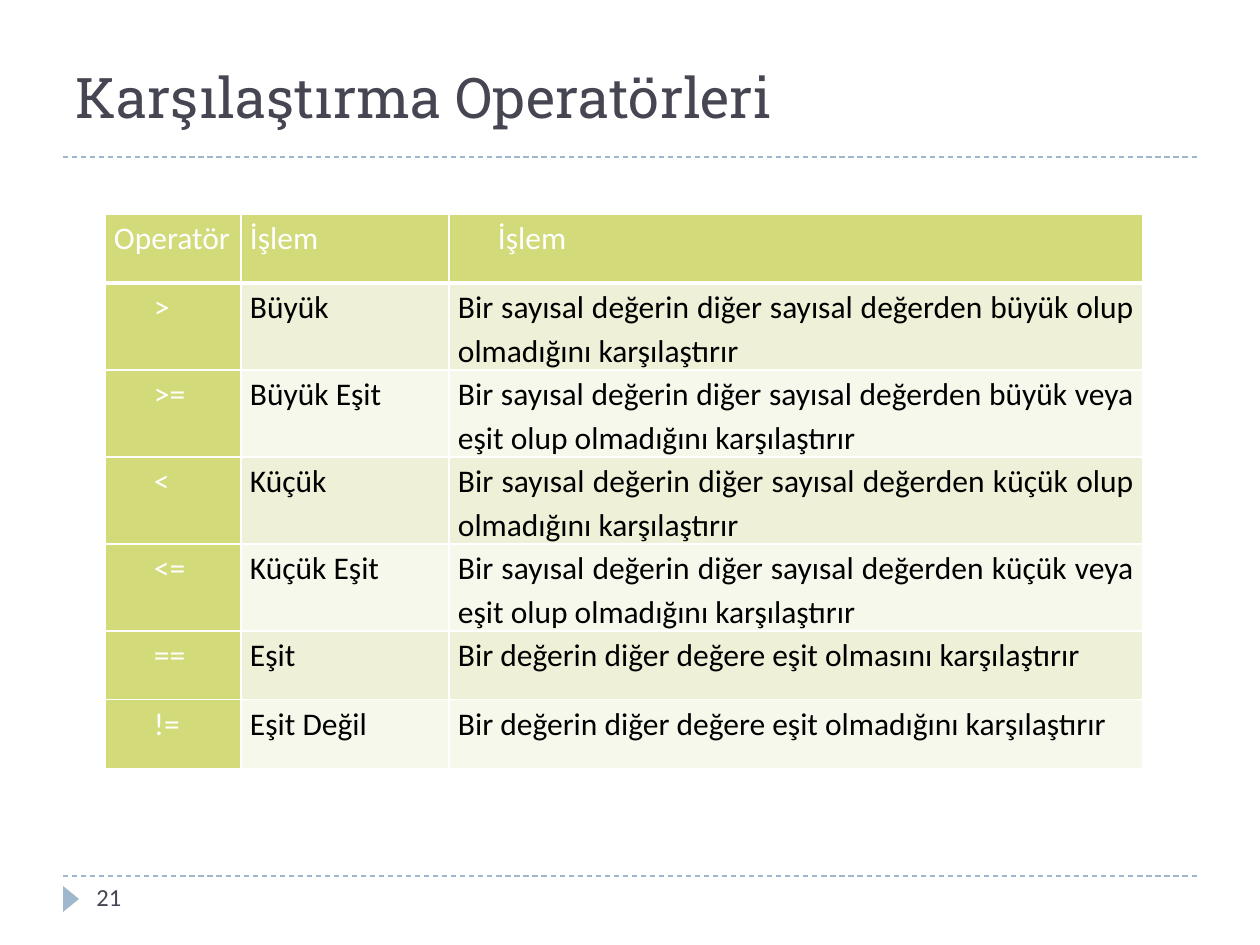
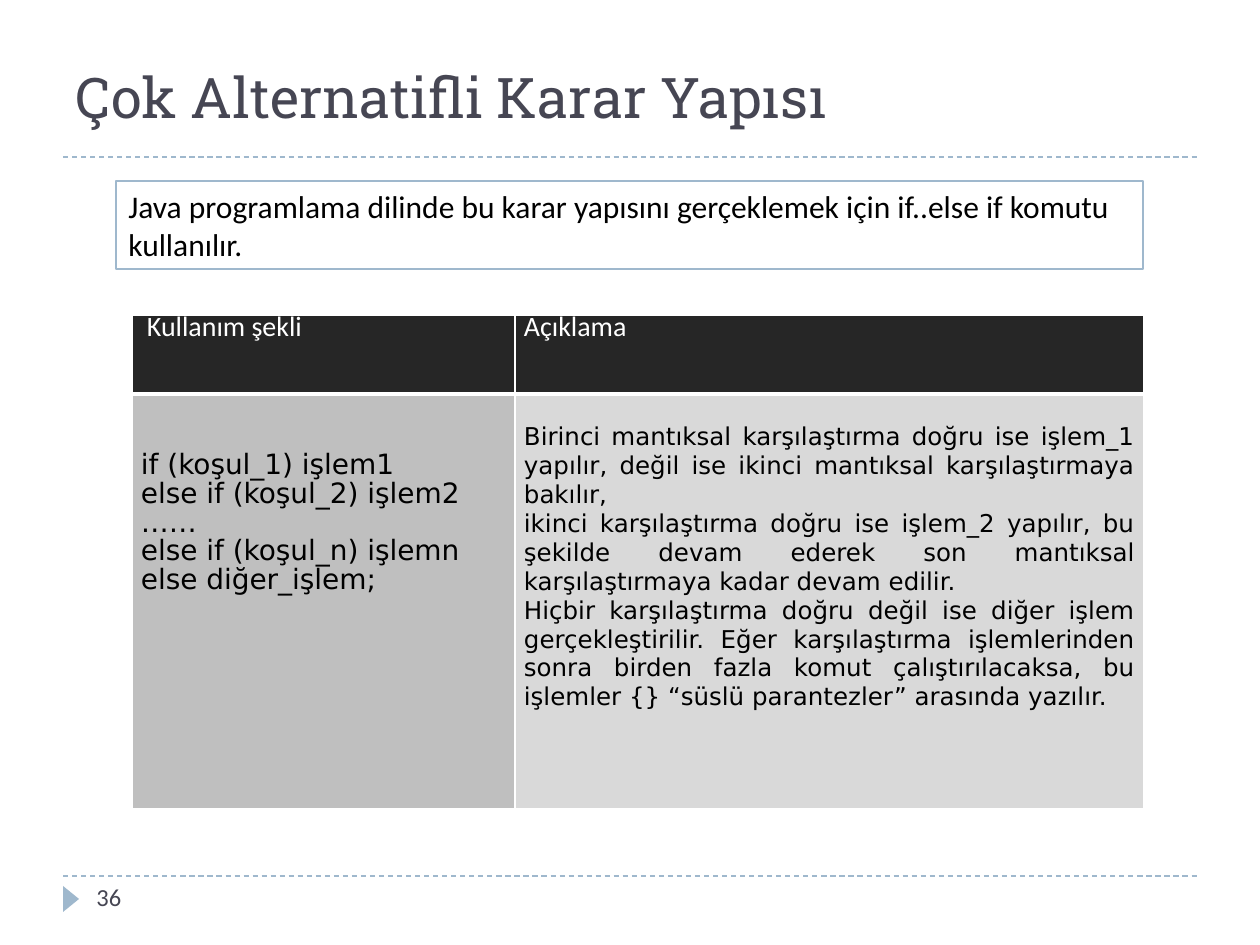
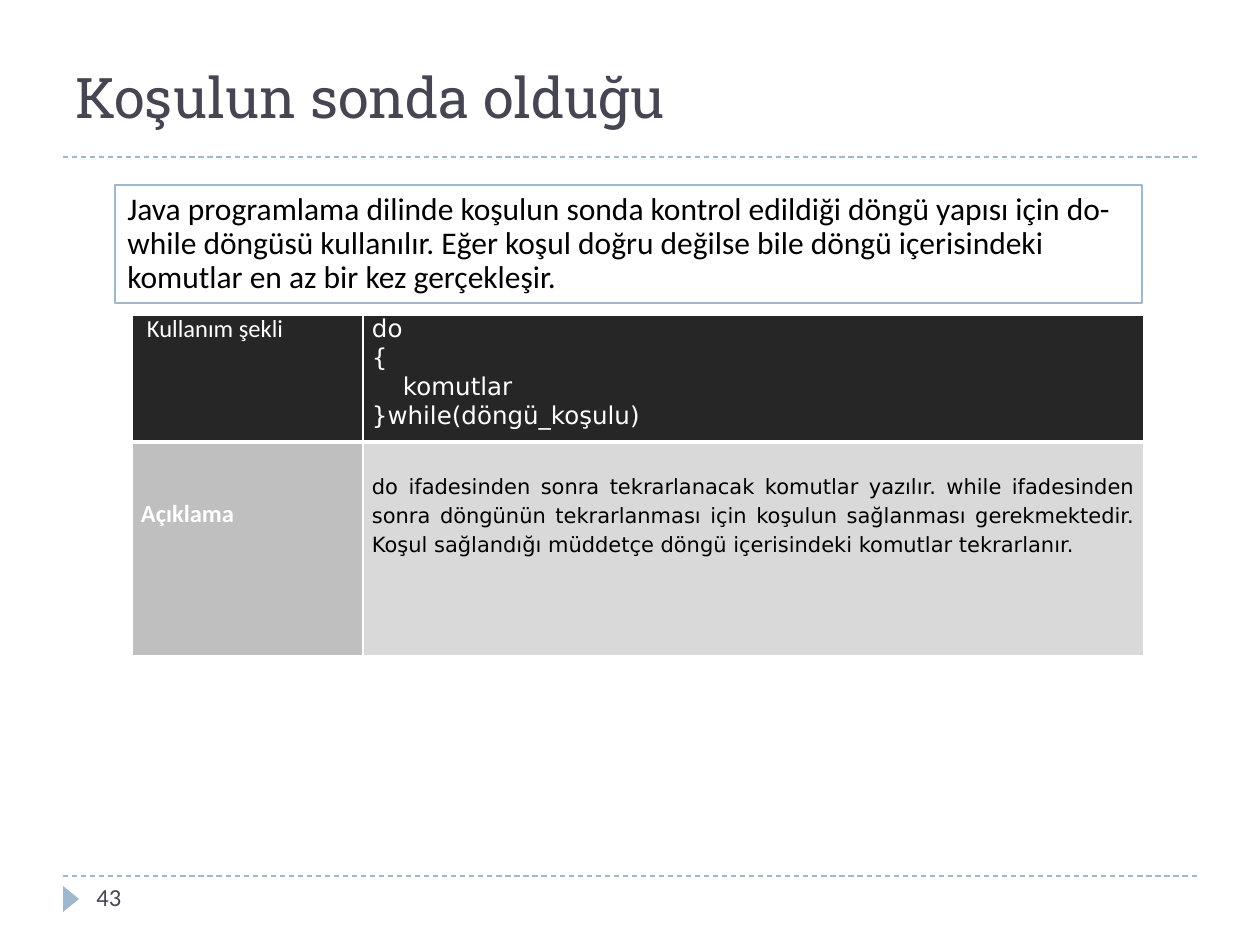
import pptx
import pptx.dml.color
import pptx.enum.dml
import pptx.enum.shapes
import pptx.enum.text
import pptx.oxml.ns
import pptx.util
from lxml import etree

# Shared look
PX = 914400 / 126
INK, BLUE, WHITE, BLACK = "464653", "9FB8CD", "FFFFFF", "000000"
LIME, LIME_BANDS = "D2DA7A", ("EEF1D7", "F7F8EC")
HEADER, KEY, VALUE = "262626", "BFBFBF", "D9D9D9"
HEADING, BODY, CODE = "Roboto Slab", "Calibri", "DejaVu Sans"
EXACT = pptx.util.Pt(16.5)
LEFT = pptx.enum.text.PP_ALIGN.LEFT
JUSTIFY = pptx.enum.text.PP_ALIGN.JUSTIFY

# Content: operators
OPERATOR_HEADINGS = ("Operatör", "İşlem", "İşlem")
OPERATORS = [
    (">", "Büyük", "Bir sayısal değerin diğer sayısal değerden büyük olup olmadığını karşılaştırır"),
    (">=", "Büyük Eşit", "Bir sayısal değerin diğer sayısal değerden büyük veya eşit olup olmadığını karşılaştırır"),
    ("<", "Küçük", "Bir sayısal değerin diğer sayısal değerden küçük olup olmadığını karşılaştırır"),
    ("<=", "Küçük Eşit", "Bir sayısal değerin diğer sayısal değerden küçük veya eşit olup olmadığını karşılaştırır"),
    ("==", "Eşit", "Bir değerin diğer değere eşit olmasını karşılaştırır"),
    ("!=", "Eşit Değil", "Bir değerin diğer değere eşit olmadığını karşılaştırır"),
]

# Content: syntax tables, each cell a dict of its text and format
IF_ROWS = [
    [dict(lines=["Kullanım şekli"], size=16, color=WHITE, indent=6),
     dict(lines=["Açıklama"], size=16, color=WHITE)],
    [dict(lines=["if (koşul_1) işlem1\nelse if (koşul_2) işlem2\n……\n"
                 "else if (koşul_n) işlemn\nelse diğer_işlem;"],
          size=16, font=CODE, align=LEFT, top=58),
     dict(lines=[
         "Birinci mantıksal karşılaştırma doğru ise işlem_1 yapılır, değil ise "
         "ikinci mantıksal karşılaştırmaya bakılır,",
         "ikinci karşılaştırma doğru ise işlem_2 yapılır, bu şekilde devam ederek "
         "son mantıksal karşılaştırmaya kadar devam edilir.",
         "Hiçbir karşılaştırma doğru değil ise diğer işlem gerçekleştirilir. Eğer "
         "karşılaştırma işlemlerinden sonra birden fazla komut çalıştırılacaksa, bu "
         "işlemler {} “süslü parantezler” arasında yazılır."],
         size=14, font=CODE, top=29)],
]
DO_ROWS = [
    [dict(lines=["Kullanım şekli"], size=14, color=WHITE, indent=6),
     dict(lines=["do", "{", ("komutlar", 31), "}while(döngü_koşulu)"],
          size=14, font=CODE, color=WHITE)],
    [dict(lines=["Açıklama"], size=14, color=WHITE, bold=True, top=58),
     dict(lines=[
         "do ifadesinden sonra tekrarlanacak komutlar yazılır. while ifadesinden sonra "
         "döngünün tekrarlanması için koşulun sağlanması gerekmektedir. Koşul sağlandığı "
         "müddetçe döngü içerisindeki komutlar tekrarlanır."],
         size=12, font=CODE, top=29)],
]
SYNTAX_PAGES = [
    dict(title="Çok Alternatifli Karar Yapısı", number=36,
         intro="Java programlama dilinde bu karar yapısını gerçeklemek için "
               "if..else if komutu kullanılır.",
         box=(116, 181, 1027, 88), spacing=1.0,
         columns=(383, 629), heights=(79, 415), rows=IF_ROWS),
    dict(title="Koşulun sonda olduğu", number=43,
         intro="Java programlama dilinde koşulun sonda kontrol edildiği döngü yapısı için "
               "do-while döngüsü kullanılır. Eğer koşul doğru değilse bile döngü "
               "içerisindeki komutlar en az bir kez gerçekleşir.",
         box=(115, 185, 1027, 118), spacing=0.9,
         columns=(231, 781), heights=(127, 214), rows=DO_ROWS),
]


def px(length):
    return pptx.util.Emu(round(length * PX))


def rgb(code):
    return pptx.dml.color.RGBColor.from_string(code)


def paint(shape, code):
    shape.fill.solid()
    shape.fill.fore_color.rgb = rgb(code)


def write(frame, lines, size=18, font=BODY, color=BLACK, bold=False,
          align=LEFT, spacing=1.0, after=0, indent=0):
    """Fill a text frame; a line may be a (text, indent) pair."""
    frame.word_wrap = True
    for index, line in enumerate(lines):
        text, inset = line if isinstance(line, tuple) else (line, indent)
        para = frame.add_paragraph() if index else frame.paragraphs[0]
        para.text = text
        para.alignment = align
        para.line_spacing = spacing
        para.space_before = pptx.util.Pt(0)
        para.space_after = pptx.util.Pt(after)
        if inset:
            para._p.get_or_add_pPr().set("indent", str(px(inset)))
        for span in para.runs:
            span.font.size = pptx.util.Pt(size)
            span.font.name = font
            span.font.bold = bold
            span.font.color.rgb = rgb(color)


def add_rule(page, y):
    rule = page.shapes.add_connector(
        pptx.enum.shapes.MSO_CONNECTOR.STRAIGHT, px(63), px(y), px(1197), px(y))
    rule.line.color.rgb = rgb(BLUE)
    rule.line.width = pptx.util.Pt(0.75)
    rule.line.dash_style = pptx.enum.dml.MSO_LINE.DASH
    etree.SubElement(rule._element.spPr, pptx.oxml.ns.qn("a:effectLst"))


def add_shape(page, preset, place):
    shape = page.shapes.add_shape(preset, *map(px, place))
    shape.shadow.inherit = False
    return shape


def add_page(deck, title, number):
    """Start a slide with its title, two rules, marker and number."""
    page = deck.slides.add_slide(deck.slide_layouts[5])
    for y in (876, 157):
        add_rule(page, y)
    marker = add_shape(page, pptx.enum.shapes.MSO_SHAPE.ISOSCELES_TRIANGLE, (58, 891, 26, 16))
    marker.rotation = 90
    paint(marker, BLUE)
    marker.line.fill.background()

    heading = page.shapes.title
    heading.left, heading.top, heading.width, heading.height = map(px, (63, 63, 1134, 73))
    heading.text_frame.auto_size = pptx.enum.text.MSO_AUTO_SIZE.NONE
    heading.text_frame.vertical_anchor = pptx.enum.text.MSO_ANCHOR.BOTTOM
    write(heading.text_frame, [title], size=32, font=HEADING, color=INK)

    label = page.shapes.add_textbox(*map(px, (84, 876, 273, 50)))
    write(label.text_frame, [str(number)], size=14, color=INK)
    return page


def add_borders(cell, bottom):
    properties = cell._tc.get_or_add_tcPr()
    for index, (side, points) in enumerate(zip("LRTB", (1, 1, 1, bottom))):
        edge = etree.Element(pptx.oxml.ns.qn("a:ln" + side), w=str(pptx.util.Pt(points)))
        solid = etree.SubElement(edge, pptx.oxml.ns.qn("a:solidFill"))
        etree.SubElement(solid, pptx.oxml.ns.qn("a:srgbClr"), val=WHITE)
        properties.insert(index, edge)


def add_table(page, corner, columns, heights, rows, fill_of):
    place = (*corner, sum(columns), sum(heights))
    table = page.shapes.add_table(len(rows), len(columns), *map(px, place)).table
    table.first_row = table.horz_banding = False
    for column, width in zip(table.columns, columns):
        column.width = px(width)
    for r, (row, height) in enumerate(zip(rows, heights)):
        table.rows[r].height = px(height)
        for c, content in enumerate(row):
            cell = table.cell(r, c)
            cell.margin_left = cell.margin_right = px(9)
            cell.margin_top, cell.margin_bottom = px(content.get("top", 0)), 0
            paint(cell, fill_of(r, c))
            add_borders(cell, bottom=1 if r else 3)
            write(cell.text_frame, **{k: v for k, v in content.items() if k != "top"})


def operator_cell(text, row, column):
    indented = (row == 0) == (column == 2) and (row == 0 or column == 0)
    return dict(lines=[text], spacing=1.15, after=6,
                color=WHITE if row == 0 or column == 0 else BLACK,
                align=JUSTIFY if row else LEFT, indent=40 if indented else 0)


def operator_fill(row, column):
    return LIME if row == 0 or column == 0 else LIME_BANDS[(row - 1) % 2]


def syntax_fill(row, column):
    return (KEY, VALUE)[column] if row else HEADER


def add_operator_page(deck):
    page = add_page(deck, "Karşılaştırma Operatörleri", 21)
    rows = [[operator_cell(text, r, c) for c, text in enumerate(row)]
            for r, row in enumerate([OPERATOR_HEADINGS, *OPERATORS])]
    add_table(page, (105, 214), (136, 208, 694), [69] * len(rows), rows, operator_fill)


def add_syntax_page(deck, content):
    page = add_page(deck, content["title"], content["number"])
    box = add_shape(page, pptx.enum.shapes.MSO_SHAPE.ROUNDED_RECTANGLE, content["box"])
    box.adjustments[0] = 0
    paint(box, WHITE)
    box.line.color.rgb = rgb(BLUE)
    box.line.width = pptx.util.Pt(1.5)
    box.text_frame.vertical_anchor = pptx.enum.text.MSO_ANCHOR.MIDDLE
    write(box.text_frame, [content["intro"]], spacing=content["spacing"])
    rows = [[dict(align=JUSTIFY, spacing=EXACT) | cell for cell in row]
            for row in content["rows"]]
    add_table(page, (132, 315), content["columns"], content["heights"], rows, syntax_fill)


def main():
    deck = pptx.Presentation()
    deck.slide_width, deck.slide_height = px(1260), px(945)
    add_operator_page(deck)
    for content in SYNTAX_PAGES:
        add_syntax_page(deck, content)
    deck.save("out.pptx")


if __name__ == "__main__":
    main()
